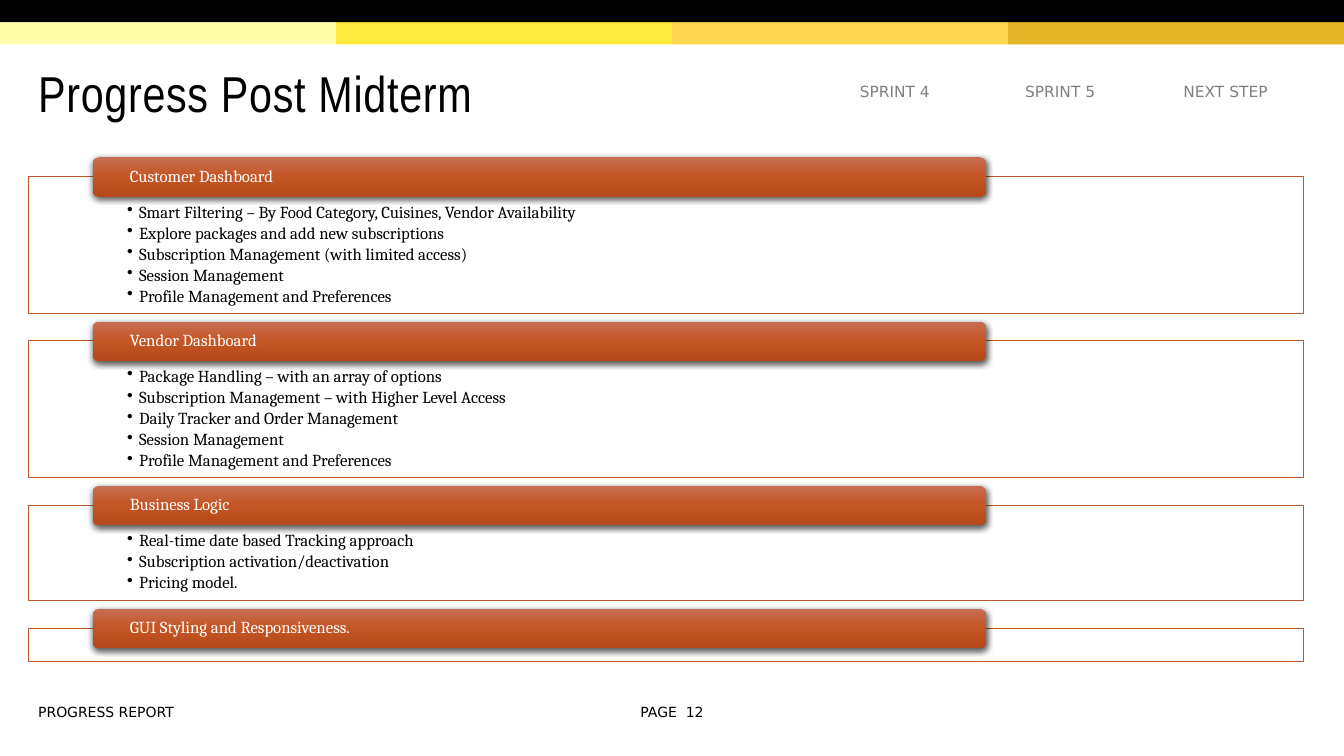
"""Builds the post-midterm progress slide."""
from pptx import Presentation
from pptx.dml.color import RGBColor
from pptx.enum.shapes import MSO_SHAPE
from pptx.enum.text import MSO_ANCHOR, PP_ALIGN
from pptx.oxml import parse_xml
from pptx.oxml.ns import nsdecls, qn
from pptx.util import Inches, Pt

RECT, ROUND = MSO_SHAPE.RECTANGLE, MSO_SHAPE.ROUNDED_RECTANGLE
TOP, MID = MSO_ANCHOR.TOP, MSO_ANCHOR.MIDDLE
LEFT, CENTER = PP_ALIGN.LEFT, PP_ALIGN.CENTER
INK = {"black": "000000", "white": "FFFFFF", "gray": "808080", "rust": "BD582C"}
STRIPES = ["FFFFAA", "FFEA3D", "FFD54F", "E4B429"]
GLOSS = [(0, "C76E53"), (50, "C45525"), (100, "B5491A")]
SANS, SERIF, NARROW = "DejaVu Sans", "Cambria", "Arial Narrow"
WIDTH = 13.33

GROUPS = [
    ("Customer Dashboard", 1.36, [
        "Smart Filtering – By Food Category, Cuisines, Vendor Availability",
        "Explore packages and add new subscriptions",
        "Subscription Management (with limited access)",
        "Session Management",
        "Profile Management and Preferences"]),
    ("Vendor Dashboard", 1.36, [
        "Package Handling – with an array of options",
        "Subscription Management – with Higher Level Access",
        "Daily Tracker and Order Management",
        "Session Management",
        "Profile Management and Preferences"]),
    ("Business Logic", 0.95, [
        "Real-time date based Tracking approach",
        "Subscription activation/deactivation",
        "Pricing model."]),
    ("GUI Styling and Responsiveness.", 0.33, []),
]


class Deck:
    def __init__(self):
        self.file = Presentation()
        self.file.slide_width = Inches(WIDTH)
        self.file.slide_height = Inches(7.5)
        self.slide = self.file.slides.add_slide(self.file.slide_layouts[6])

    def shape(self, box, fill, kind=RECT, line=None):
        item = self.slide.shapes.add_shape(kind, *map(Inches, box))
        item.shadow.inherit = False
        item.fill.solid()
        item.fill.fore_color.rgb = RGBColor.from_string(fill)
        if line:
            item.line.color.rgb = RGBColor.from_string(line)
            item.line.width = Pt(0.5)
        else:
            item.line.fill.background()
        return item

    def words(self, item, lines, size, font, color, align=LEFT, anchor=MID,
              inset=(0.1, 0.05, 0.1, 0.05), lead=1.0, after=0, bullet=False, track=0):
        frame = item.text_frame
        frame.word_wrap = True
        frame.vertical_anchor = anchor
        (frame.margin_left, frame.margin_top,
         frame.margin_right, frame.margin_bottom) = map(Inches, inset)
        for n, line in enumerate(lines):
            para = frame.add_paragraph() if n else frame.paragraphs[0]
            para.alignment = align
            para.line_spacing = lead
            para.space_after = Pt(after)
            if bullet:
                props = para._p.get_or_add_pPr()
                props.set("marL", str(Inches(0.12)))
                props.set("indent", str(-Inches(0.12)))
                props.append(parse_xml(f'<a:buChar {nsdecls("a")} char="•"/>'))
            run = para.add_run()
            run.text = line
            run.font.size = Pt(size)
            run.font.name = font
            run.font.color.rgb = RGBColor.from_string(color)
            if track:
                run._r.get_or_add_rPr().set("spc", str(track))

    def label(self, box, text, size, font, color, **style):
        item = self.slide.shapes.add_textbox(*map(Inches, box))
        self.words(item, [text], size, font, color, **style)

    def panel(self, box, lines):
        item = self.shape(box, INK["white"], line=INK["rust"])
        if lines:
            self.words(item, lines, 12, SERIF, INK["black"], anchor=TOP,
                       inset=(0.98, 0.27, 0.98, 0.09), lead=0.9, after=2.1,
                       bullet=True)

    def header(self, box, text):
        item = self.shape(box, INK["rust"], ROUND)
        item.fill.gradient()
        item.fill.gradient_angle = 270
        props = item._element.spPr
        stops = props.find(qn("a:gradFill")).find(qn("a:gsLst"))
        for stop in list(stops):
            stops.remove(stop)
        for spot, color in GLOSS:
            stops.append(parse_xml(
                f'<a:gs {nsdecls("a")} pos="{spot * 1000}">'
                f'<a:srgbClr val="{color}"/></a:gs>'))
        props.find(qn("a:effectLst")).append(parse_xml(
            f'<a:outerShdw {nsdecls("a")} blurRad="{Pt(4.5)}" dist="{Pt(1.5)}" '
            f'dir="5400000" rotWithShape="0"><a:srgbClr val="{INK["black"]}">'
            '<a:alpha val="63000"/></a:srgbClr></a:outerShdw>'))
        self.words(item, [text], 12, SERIF, INK["white"],
                   inset=(0.35, 0.02, 0.35, 0.02), lead=0.9)


def main():
    deck = Deck()
    band = WIDTH / len(STRIPES)
    for n, color in enumerate(STRIPES):
        deck.shape((n * band, 0.22, band, 0.22), color)
    deck.shape((0, 0, WIDTH, 0.22), INK["black"])

    for n, text in enumerate(["SPRINT 4", "SPRINT 5", "NEXT STEP"]):
        deck.label((8.1 + n * 1.64, 0.75, 1.55, 0.31), text, 11, SANS,
                   INK["gray"], align=CENTER, after=8)
    deck.label((0.28, 6.93, 5.72, 0.27), "PROGRESS REPORT", 10, SANS,
               INK["black"], after=6)
    deck.label((6.11, 6.93, 1.11, 0.27), "PAGE  12", 10, SANS,
               INK["black"], align=CENTER, after=6)
    deck.label((0.28, 0.47, 7.71, 0.98), "Progress Post Midterm", 36, NARROW,
               INK["black"], lead=0.85, track=50)

    top = 1.75
    for title, height, lines in GROUPS:
        deck.panel((0.28, top, 12.65, height), lines)
        deck.header((0.92, top - 0.19, 8.86, 0.39), title)
        top += height + 0.27
    deck.file.save("out.pptx")


if __name__ == "__main__":
    main()
